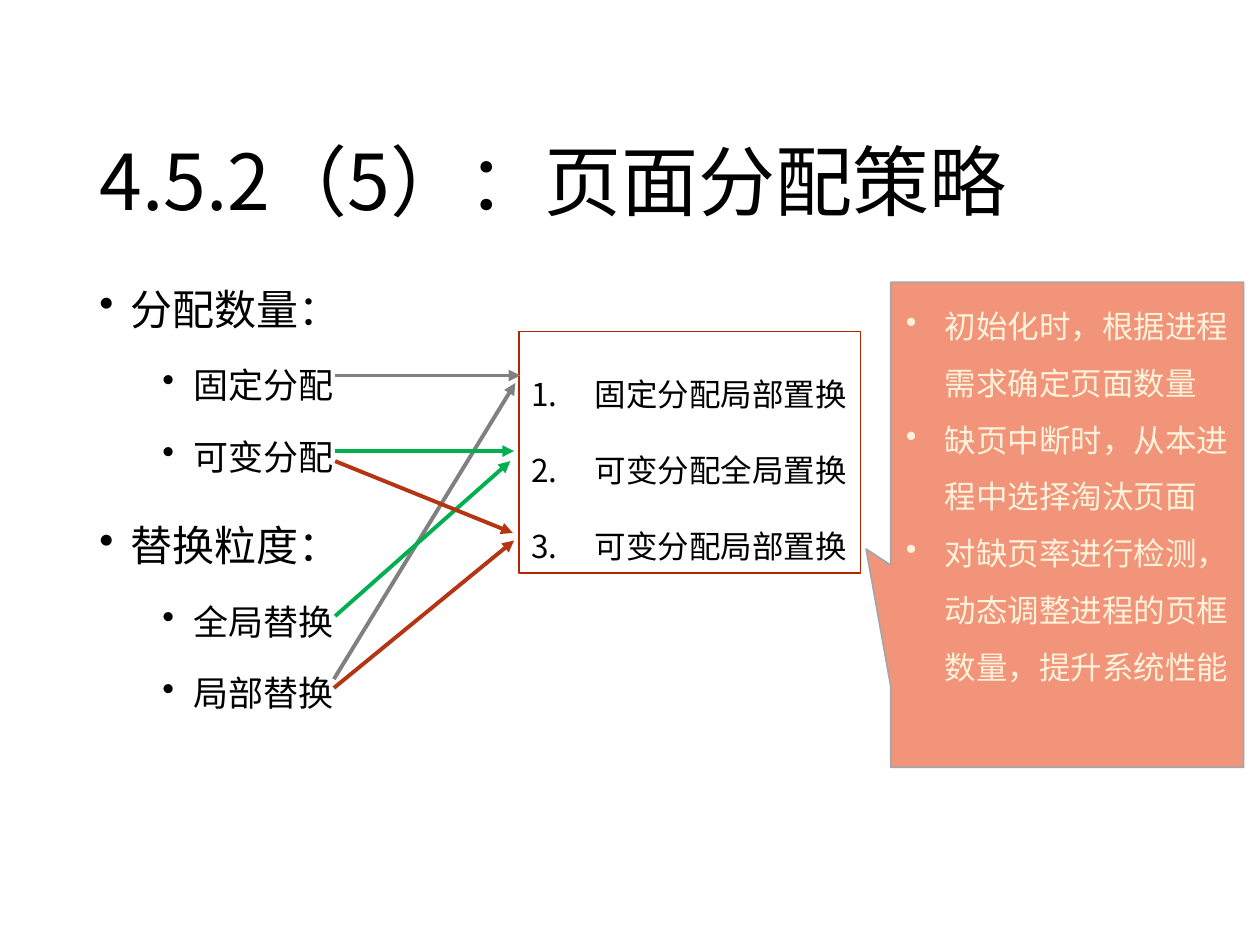
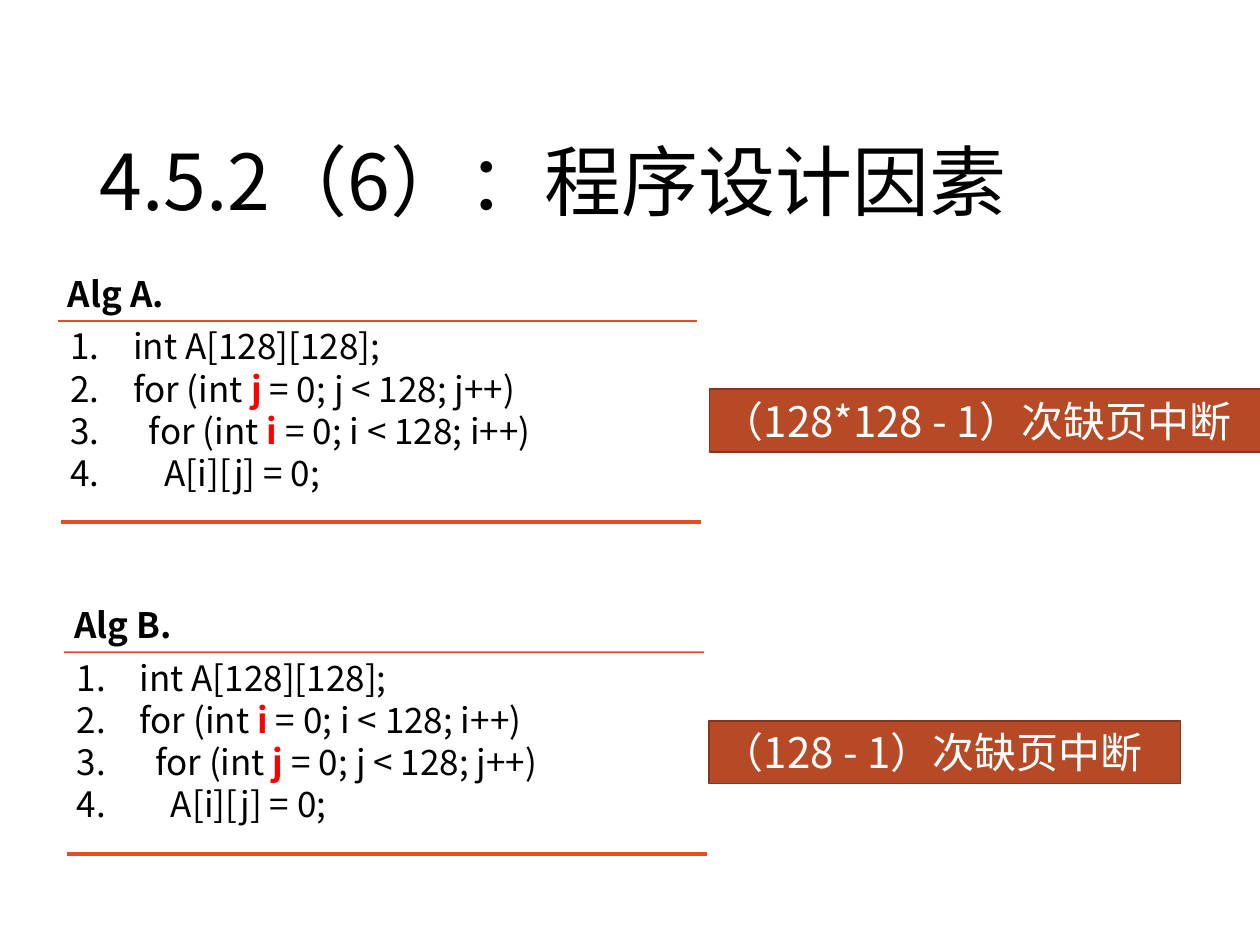
from dataclasses import dataclass

import pptx
import pptx.dml.color
import pptx.enum.shapes
import pptx.enum.text
import pptx.oxml
import pptx.oxml.ns
import pptx.presentation
import pptx.shapes.autoshape
import pptx.slide
import pptx.util

SHAPE = pptx.enum.shapes.MSO_SHAPE
ANCHOR = pptx.enum.text.MSO_ANCHOR
ALIGN = pptx.enum.text.PP_ALIGN

SLIDE_WIDTH = pptx.util.Inches(10)
SLIDE_HEIGHT = pptx.util.Inches(7.5)
COLUMN = SLIDE_WIDTH / 100
ROW = SLIDE_HEIGHT / 75


@dataclass(frozen=True)
class Theme:
    font: str = "Noto Sans CJK SC"
    callout_font: str = "Calibri"
    ink: str = "000000"
    paper: str = "FFFFFF"
    emphasis: str = "FF0000"
    rule: str = "E84C22"
    frame: str = "B22600"
    fixed_local: str = "808080"
    variable_global: str = "00B050"
    variable_local: str = "B53513"
    callout: str = "F1947A"
    callout_edge: str = "A6A6A6"
    callout_ink: str = "FFF2DA"
    verdict: str = "B64926"
    verdict_edge: str = "87361C"
    title_size: int = 44
    heading_size: int = 24
    body_size: int = 20
    note_size: int = 18
    thin: float = 1
    thick: float = 2.25


THEME = Theme()


@dataclass(frozen=True)
class Area:
    """A rectangle in grid columns and rows."""
    column: float
    row: float
    columns: float
    rows: float

    def lengths(self) -> tuple[int, ...]:
        return (round(self.column * COLUMN), round(self.row * ROW),
                round(self.columns * COLUMN), round(self.rows * ROW))


@dataclass(frozen=True)
class TextStyle:
    size: int
    color: str = THEME.ink
    font: str = THEME.font
    bold: bool = False
    bullet: str = ""
    margin: float = 0
    hanging: float = 0
    level: int = 0
    line_spacing: float = 1
    space_before: float = 0
    align: ALIGN = ALIGN.LEFT


@dataclass(frozen=True)
class Line:
    """One paragraph; every second part between bars is emphasised."""
    text: str
    style: TextStyle


@dataclass(frozen=True)
class Arrow:
    start: tuple[float, float]
    end: tuple[float, float]
    color: str


@dataclass(frozen=True)
class Algorithm:
    name: str
    column: float
    row: float
    outer: str
    inner: str
    verdict: str
    verdict_columns: float


NUMBER = "number"
TITLE = TextStyle(THEME.title_size, line_spacing=0.9)
TOPIC = TextStyle(THEME.heading_size, bullet="•", margin=2.5, hanging=2.5,
                  line_spacing=1.5, space_before=10)
CHOICE = TextStyle(THEME.body_size, bullet="•", margin=7.5, hanging=2.5, level=1,
                   line_spacing=1.5, space_before=5)
STRATEGY = TextStyle(THEME.note_size, bullet=NUMBER, margin=5, hanging=5, line_spacing=2)
NOTE = TextStyle(THEME.note_size, THEME.callout_ink, THEME.callout_font, bullet="•",
                 margin=3.1, hanging=3.1, line_spacing=1.5, align=ALIGN.JUSTIFY)
CODE = TextStyle(THEME.body_size, bullet=NUMBER, margin=5, hanging=5)
CODE_NAME = TextStyle(THEME.body_size, bold=True)
VERDICT = TextStyle(THEME.heading_size, THEME.paper)

ARROWS = (
    Arrow((26.6, 29.8), (41.3, 29.8), THEME.fixed_local),
    Arrow((26.5, 53.9), (40.9, 30.4), THEME.fixed_local),
    Arrow((26.6, 35.8), (40.8, 35.8), THEME.variable_global),
    Arrow((26.6, 48.9), (40.5, 36.6), THEME.variable_global),
    Arrow((26.6, 36.6), (40.7, 42.3), THEME.variable_local),
    Arrow((26.5, 54.6), (40.8, 42.9), THEME.variable_local),
)
ALGORITHMS = (
    Algorithm("Alg A.", 4.4, 21.1, "j", "i", "（128*128 - 1）次缺页中断", 44.1),
    Algorithm("Alg B.", 4.9, 47.4, "i", "j", "（128 - 1）次缺页中断", 37.4),
)


def rgb(color: str) -> pptx.dml.color.RGBColor:
    return pptx.dml.color.RGBColor.from_string(color)


def drawing_element(tag: str, **attributes: str):
    element = pptx.oxml.parse_xml(f"<a:{tag} {pptx.oxml.ns.nsdecls('a')}/>")
    for name, value in attributes.items():
        element.set(name, value)
    return element


def format_paragraph(para, style: TextStyle) -> None:
    properties = para._p.get_or_add_pPr()
    if style.bullet:
        properties.set("marL", str(round(style.margin * COLUMN)))
        properties.set("indent", str(round(-style.hanging * COLUMN)))
        if style.bullet == NUMBER:
            properties.append(drawing_element("buAutoNum", type="arabicPeriod"))
        else:
            properties.append(drawing_element("buChar", char=style.bullet))
    para.level = style.level
    para.alignment = style.align
    para.line_spacing = style.line_spacing


def format_run(span, style: TextStyle, emphasised: bool) -> None:
    span.font.name = style.font
    span.font.size = pptx.util.Pt(style.size)
    span.font.bold = style.bold or emphasised
    span.font.color.rgb = rgb(THEME.emphasis if emphasised else style.color)
    span._r.get_or_add_rPr().append(drawing_element("ea", typeface=THEME.font))


def write_lines(box, lines: list[Line], anchor: ANCHOR = ANCHOR.TOP, wrap: bool = True) -> None:
    frame = box.text_frame
    frame.word_wrap = wrap
    frame.vertical_anchor = anchor
    for index, line in enumerate(lines):
        para = frame.add_paragraph() if index else frame.paragraphs[0]
        format_paragraph(para, line.style)
        if index:
            para.space_before = pptx.util.Pt(line.style.space_before)
        for position, part in enumerate(line.text.split("|")):
            span = para.add_run()
            span.text = part
            format_run(span, line.style, emphasised=position % 2 == 1)


def add_box(page: pptx.slide.Slide, area: Area, fill: str, edge: str = "",
            kind: SHAPE = SHAPE.RECTANGLE) -> pptx.shapes.autoshape.Shape:
    box = page.shapes.add_shape(kind, *area.lengths())
    box.shadow.inherit = False
    box.fill.solid()
    box.fill.fore_color.rgb = rgb(fill)
    if edge:
        box.line.color.rgb = rgb(edge)
        box.line.width = pptx.util.Pt(THEME.thin)
    else:
        box.line.fill.background()
    return box


def add_line(page: pptx.slide.Slide, stroke: Arrow, arrowhead: bool = True) -> None:
    ends = [round(value * unit) for point in (stroke.start, stroke.end)
            for value, unit in zip(point, (COLUMN, ROW))]
    connector = page.shapes.add_connector(pptx.enum.shapes.MSO_CONNECTOR.STRAIGHT, *ends)
    connector.line.color.rgb = rgb(stroke.color)
    connector.line.width = pptx.util.Pt(THEME.thick)
    if arrowhead:
        connector.line._get_or_add_ln().append(drawing_element("tailEnd", type="triangle"))
    connector._element.spPr.append(drawing_element("effectLst"))


def add_page(deck: pptx.presentation.Presentation, title: str) -> pptx.slide.Slide:
    page = deck.slides.add_slide(deck.slide_layouts[6])
    box = page.shapes.add_textbox(*Area(6.9, 4, 86.2, 14.5).lengths())
    write_lines(box, [Line(title, TITLE)], ANCHOR.BOTTOM)
    return page


def add_strategy_page(deck: pptx.presentation.Presentation) -> None:
    page = add_page(deck, "4.5.2（5）：页面分配策略")

    topics = {"分配数量：": ("固定分配", "可变分配"), "替换粒度：": ("全局替换", "局部替换")}
    outline = []
    for topic, choices in topics.items():
        outline.append(Line(topic, TOPIC))
        outline.extend(Line(choice, CHOICE) for choice in choices)
    write_lines(page.shapes.add_textbox(*Area(6.9, 20, 86.2, 47.6).lengths()), outline)

    strategies = add_box(page, Area(41.2, 26.3, 27.1, 19.2), THEME.paper, THEME.frame)
    names = ("固定分配局部置换", "可变分配全局置换", "可变分配局部置换")
    write_lines(strategies, [Line(name, STRATEGY) for name in names])

    for arrow in ARROWS:
        add_line(page, arrow)

    callout = add_box(page, Area(70.7, 22.4, 28, 38.5), THEME.callout,
                      THEME.callout_edge, SHAPE.RECTANGULAR_CALLOUT)
    callout.adjustments[0] = -0.57
    callout.adjustments[1] = 0.05
    callout.text_frame.margin_left = callout.text_frame.margin_right = round(1.2 * COLUMN)
    notes = ("初始化时，根据进程需求确定页面数量", "缺页中断时，从本进程中选择淘汰页面",
             "对缺页率进行检测，动态调整进程的页框数量，提升系统性能")
    write_lines(callout, [Line(note, NOTE) for note in notes])


def add_algorithm(page: pptx.slide.Slide, algorithm: Algorithm) -> None:
    """Draw a named listing between two rules, with its verdict on the right."""
    left, top = algorithm.column, algorithm.row
    listing = add_box(page, Area(left + 0.2, top + 4.2, 51, 16.1), THEME.paper)
    code = ["int A[128][128];"]
    for depth, index in enumerate((algorithm.outer, algorithm.inner)):
        code.append(f"{'  ' * depth}for (int |{index} |= 0; {index} < 128; {index}++)")
    code.append("    A[i][j] = 0;")
    write_lines(listing, [Line(text, CODE) for text in code])

    for indent, drop in ((0.2, 4.3), (0.45, 20.35)):
        start = (left + indent, top + drop)
        add_line(page, Arrow(start, (start[0] + 50.75, start[1]), THEME.rule), arrowhead=False)

    name = add_box(page, Area(left, top, 51, 4.3), THEME.paper)
    write_lines(name, [Line(algorithm.name, CODE_NAME)])

    verdict = add_box(page, Area(56.3, top + 9.8, algorithm.verdict_columns, 5),
                      THEME.verdict, THEME.verdict_edge)
    write_lines(verdict, [Line(algorithm.verdict, VERDICT)], wrap=False)


def add_program_page(deck: pptx.presentation.Presentation) -> None:
    page = add_page(deck, "4.5.2（6）：程序设计因素")
    for algorithm in ALGORITHMS:
        add_algorithm(page, algorithm)


def main() -> None:
    deck = pptx.Presentation()
    deck.slide_width = SLIDE_WIDTH
    deck.slide_height = SLIDE_HEIGHT
    add_strategy_page(deck)
    add_program_page(deck)
    deck.save("out.pptx")


if __name__ == "__main__":
    main()
